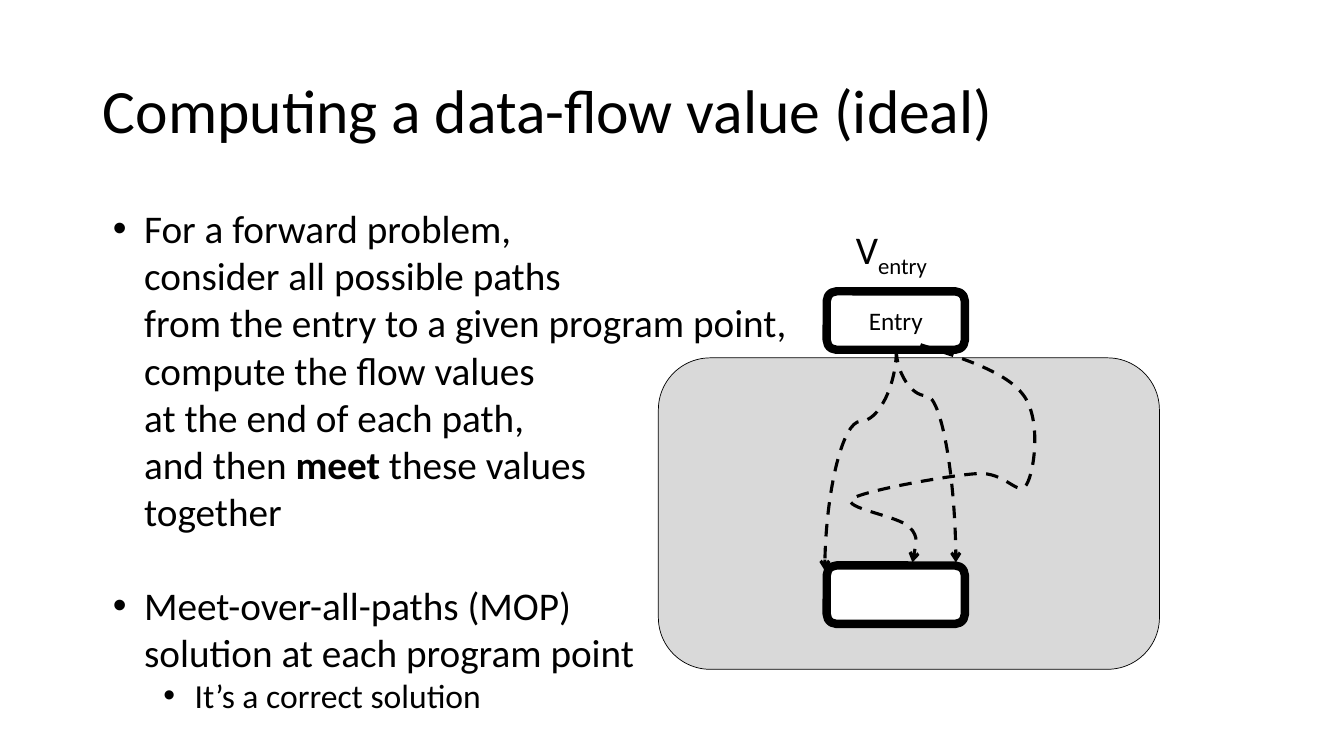
from dataclasses import dataclass
from lxml import etree
from pptx import Presentation, util as u
from pptx.dml.color import RGBColor
from pptx.enum import dml, shapes, text
from pptx.oxml import ns

IN = u.Inches


@dataclass(frozen=True)
class Theme:
    """Colours, font and type sizes of the slide."""
    ink: RGBColor = RGBColor(0, 0, 0)
    paper: RGBColor = RGBColor(255, 255, 255)
    gray: RGBColor = RGBColor(0xD9, 0xD9, 0xD9)
    face: str = "Calibri"
    head: int = 44
    main: int = 28
    sub: int = 24
    node: int = 18


LOOK = Theme()
POINTS = [
    (0, 0, [("For a forward problem, \nconsider all possible paths\n"
             "from the entry to a given program point, \n"
             "compute the flow values \nat the end of each path, \nand then ", False),
            ("meet ", True), ("these values \ntogether", False)]),
    (0, 33.6, [("Meet-over-all-paths (MOP) \nsolution at each program point", False)]),
    (1, 0, [("It’s a correct solution", False)]),
]
LOOP = [
    (0.7, -0.13), (1.13, 0.01), (1.55, 0.14), (1.72, 0.37),
    (1.9, 0.61), (1.83, 1.13), (1.75, 1.26),
    (1.67, 1.39), (1.54, 1.12), (1.25, 1.15),
    (0.96, 1.17), (0.13, 1.32), (0.02, 1.4),
    (-0.09, 1.49), (0.49, 1.57), (0.59, 1.68),
    (0.69, 1.78), (0.62, 2.03), (0.62, 2.03),
]


def style(item, **vals):
    """Set each named value on the item."""
    for key, val in vals.items():
        setattr(item, key, val)


def write(para, words, size, bold=False):
    """Add words in the theme font, breaking at line ends, and return the last run."""
    for num, line in enumerate(words.split("\n")):
        if num:
            para.add_line_break()
        run = para.add_run()
        run.text = line
        style(run.font, name=LOOK.face, size=u.Pt(size), bold=bold)
        run.font.color.rgb = LOOK.ink
    return run


def place(item, box):
    """Move an item to a box given in inches."""
    style(item, **dict(zip(("left", "top", "width", "height"), map(IN, box))))


def title(slide, box):
    """Fill the title placeholder."""
    head = slide.shapes.title
    place(head, box)
    style(head.text_frame, vertical_anchor=text.MSO_ANCHOR.MIDDLE, word_wrap=True,
          auto_size=text.MSO_AUTO_SIZE.NONE)
    para = head.text_frame.paragraphs[0]
    style(para, alignment=text.PP_ALIGN.LEFT, line_spacing=0.9)
    write(para, "Computing a data-flow value (ideal)", LOOK.head)


def body(slide, box):
    """Fill the body placeholder with the bulleted points."""
    hold = slide.placeholders[1]
    place(hold, box)
    frame = hold.text_frame
    style(frame, vertical_anchor=text.MSO_ANCHOR.TOP, word_wrap=True,
          auto_size=text.MSO_AUTO_SIZE.NONE)
    for num, (level, gap, runs) in enumerate(POINTS):
        para = frame.add_paragraph() if num else frame.paragraphs[0]
        style(para, level=level, space_before=u.Pt(gap), space_after=u.Pt(0),
              line_spacing=1.0, alignment=text.PP_ALIGN.LEFT)
        props = para._p.get_or_add_pPr()
        props.set("marL", str(IN(0.31 + 0.5 * level)))
        props.set("indent", str(IN(-0.31)))
        etree.SubElement(props, ns.qn("a:buFont")).set("typeface", "Arial")
        etree.SubElement(props, ns.qn("a:buChar")).set("char", "•")
        for words, bold in runs:
            write(para, words, LOOK.sub if level else LOOK.main, bold)


def block(slide, box, fill, width):
    """Add a rounded block with a black outline."""
    kind = shapes.MSO_SHAPE.ROUNDED_RECTANGLE
    item = slide.shapes.add_shape(kind, *map(IN, box))
    item.shadow.inherit = False
    item.fill.solid()
    item.fill.fore_color.rgb = fill
    item.line.color.rgb = LOOK.ink
    item.line.width = u.Pt(width)
    return item


def dash(item):
    """Give a path a dashed line with an arrow at its end."""
    item.line.color.rgb = LOOK.ink
    style(item.line, width=u.Pt(2.25), dash_style=dml.MSO_LINE.DASH)
    tip = etree.SubElement(item.line._get_or_add_ln(), ns.qn("a:tailEnd"))
    tip.set("type", "arrow")


def curve(slide, start, end, bend):
    """Draw a curved connector that leaves and arrives vertically."""
    (x1, y1), (x2, y2) = start, end
    long, wide = y2 - y1, abs(x2 - x1)
    left, right = (x1 + x2 - long) / 2, (x1 + x2 + long) / 2
    top = (y1 + y2 - wide) / 2
    east = x2 > x1
    if east:
        left, right = right, left
    line = slide.shapes.add_connector(
        shapes.MSO_CONNECTOR.CURVE, IN(left), IN(top), IN(right), IN(top + wide))
    props = line._element.spPr
    props.find(ns.qn("a:xfrm")).set("rot", str((270 if east else 90) * 60000))
    guide = etree.SubElement(props.find(ns.qn("a:prstGeom")).find(ns.qn("a:avLst")),
                             ns.qn("a:gd"))
    guide.set("name", "adj1")
    guide.set("fmla", f"val {round(bend * 100000)}")
    dash(line)
    etree.SubElement(props, ns.qn("a:effectLst"))


def loop(slide, left, top):
    """Draw the winding path as a chain of cubic curves."""
    spots = [(IN(left + x), IN(top + y)) for x, y in LOOP]
    pen = slide.shapes.build_freeform(*spots[0])
    pen.add_line_segments(spots[1:], close=False)
    item = pen.convert_to_shape()
    steps = list(item._element.iter(ns.qn("a:lnTo")))
    for num in range(0, len(steps), 3):
        bend = etree.Element(ns.qn("a:cubicBezTo"))
        steps[num].addprevious(bend)
        for step in steps[num:num + 3]:
            bend.append(step[0])
            step.getparent().remove(step)
    item.shadow.inherit = False
    item.fill.background()
    dash(item)


def graph(slide, box):
    """Draw the flow graph with its entry, region, target and paths."""
    left, top, width, height = box
    block(slide, (left, top, width, height), LOOK.gray, 0.5)
    node = left + 1.67
    entry = block(slide, (node, top - 0.66, 1.37, 0.58), LOOK.paper, 6)
    frame = entry.text_frame
    frame.vertical_anchor = text.MSO_ANCHOR.MIDDLE
    frame.paragraphs[0].alignment = text.PP_ALIGN.CENTER
    write(frame.paragraphs[0], "Entry", LOOK.node)

    label = slide.shapes.add_textbox(*map(IN, (left + 1.86, top - 1.36, 1, 0.57)))
    label.text_frame.word_wrap = True
    para = label.text_frame.paragraphs[0]
    write(para, "V", LOOK.main)
    low = write(para, "entry", LOOK.main)
    low._r.get_or_add_rPr().set("baseline", "-25000")

    block(slide, (node, top + 2.06, 1.37, 0.58), LOOK.paper, 6)
    start = (node + 0.69, top - 0.08)
    curve(slide, start, (node - 0.02, top + 2.11), 0.324)
    curve(slide, start, (node + 1.28, top + 2.03), 0.216)
    loop(slide, left + 1.9, top)


def main():
    """Build and save the slide."""
    deck = Presentation()
    style(deck, slide_width=IN(13.33), slide_height=IN(7.5))
    slide = deck.slides.add_slide(deck.slide_layouts[1])
    title(slide, (0.92, 0.4, 11.5, 1.45))
    graph(slide, (6.53, 3.55, 4.97, 3.09))
    body(slide, (1.02, 1.98, 6.99, 5.28))
    deck.save("out.pptx")


if __name__ == "__main__":
    main()
